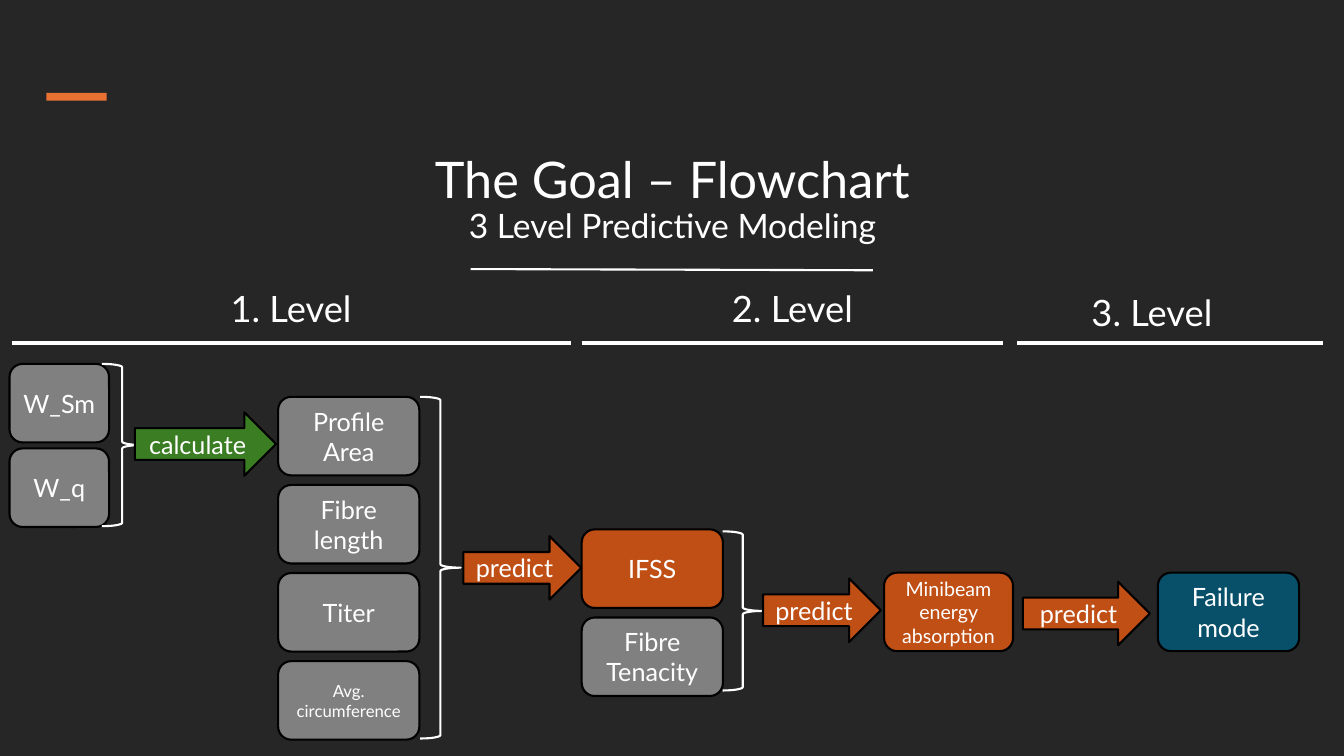
from lxml.etree import SubElement
from pptx import Presentation
from pptx.dml.color import RGBColor
from pptx.enum.shapes import MSO_CONNECTOR as Connector, MSO_SHAPE as Preset
from pptx.enum.text import MSO_ANCHOR as Anchor, MSO_AUTO_SIZE as AutoSize, PP_ALIGN as Align
from pptx.oxml.ns import qn
from pptx.util import Cm, Pt

THEME = {
    "font": "Lato",
    "colors": {"background": "262626", "text": "FFFFFF", "outline": "000000",
               "accent": "E97132", "input": "808080", "predict": "C04F15",
               "calculate": "3B7D23", "result": "084F6A"},
    "sizes": {"title": 36, "subtitle": 24, "level": 25.9,
              "node": 18, "medium": 14, "small": 12},
    "lines": {"thin": 1.5, "thick": 3},
}

TITLE = [("The Goal – Flowchart", "title"), ("3 Level Predictive Modeling", "subtitle")]
TITLE_AREA = (6.76, 3.2, 20.37, 3.12)
TITLE_RULE = (11.86, 6.78, 22.17 - 0.17, 6.81)
TITLE_RULE = (11.86, 6.78, 22, 6.81)
ACCENT_BAR = (1.17, 2.34, 1.52, 0.2)

LEVELS = [
    {"text": "1. Level", "label": (0.3, 7.29, 14.07), "rule": (0.3, 14.38)},
    {"text": "2. Level", "label": (14.66, 7.29, 10.62), "rule": (14.66, 25.27)},
    {"text": "3. Level", "label": (23.72, 7.39, 10.62), "rule": (25.63, 33.35)},
]
LABEL_HEIGHT, LEVEL_RULE_TOP = 1.19, 8.64

STACKS = [
    {"left": 0.24, "top": 9.17, "width": 2.51, "pitch": 2.13,
     "nodes": [("W_Sm", "input", "node"), ("W_q", "input", "node")]},
    {"left": 7.01, "top": 10, "width": 3.56, "pitch": 2.22,
     "nodes": [("Profile Area", "input", "node"), ("Fibre length", "input", "node"),
               ("Titer", "input", "node"), ("Avg. circumference", "input", "small")]},
    {"left": 14.66, "top": 13.34, "width": 3.56, "pitch": 2.22,
     "nodes": [("IFSS", "predict", "node"), ("Fibre Tenacity", "input", "node")]},
    {"left": 22.28, "top": 14.43, "width": 3.25, "pitch": 0,
     "nodes": [("Minibeam energy absorption", "predict", "medium")]},
    {"left": 29.18, "top": 14.43, "width": 3.56, "pitch": 0,
     "nodes": [("Failure mode", "result", "node")]},
]
NODE_HEIGHT = 1.98

BRACES = [(2.57, 9.17, 4.09), (10.59, 10, 8.61), (18.21, 13.39, 4.01)]
BRACE_WIDTH = 1.02

ARROWS = [
    ("calculate", 3.4, 10.39, 3.56),
    ("predict", 11.68, 13.51, 2.97),
    ("predict", 19.23, 14.58, 2.97),
    ("predict", 25.78, 14.66, 3.2),
]
ARROW_HEIGHT = 1.6

PLACEHOLDER_FRAME = {"word_wrap": True, "auto_size": AutoSize.NONE}
NODE_FRAME = {"word_wrap": True, "vertical_anchor": Anchor.MIDDLE}
ARROW_FRAME = NODE_FRAME | dict.fromkeys(
    ("margin_left", "margin_right", "margin_top", "margin_bottom"), 0)
CENTERED = {"alignment": Align.CENTER, "space_before": Pt(0)}


def apply(target, formats):
    for name, value in formats.items():
        setattr(target, name, value)


def color(name):
    return RGBColor.from_string(THEME["colors"][name])


def place(shape, area):
    apply(shape, dict(zip(("left", "top", "width", "height"), map(Cm, area))))


def add_text(paragraph, text, size):
    run = paragraph.add_run()
    run.text = text
    apply(run.font, {"name": THEME["font"], "size": Pt(THEME["sizes"][size]), "bold": False})
    run.font.color.rgb = color("text")


def add_preset(slide, preset, area, fill=None, outline=None):
    shape = slide.shapes.add_shape(preset, *map(Cm, area))
    shape.shadow.inherit = False
    if fill:
        shape.fill.solid()
        shape.fill.fore_color.rgb = color(fill)
    else:
        shape.fill.background()
    if outline:
        shape.line.color.rgb = color(outline)
        shape.line.width = Pt(THEME["lines"]["thin"])
    else:
        shape.line.fill.background()
    return shape


def add_node(slide, preset, area, fill, text, size, frame):
    shape = add_preset(slide, preset, area, fill, "outline")
    apply(shape.text_frame, frame)
    paragraph = shape.text_frame.paragraphs[0]
    apply(paragraph, CENTERED)
    add_text(paragraph, text, size)


def add_rule(slide, ends, weight):
    rule = slide.shapes.add_connector(Connector.STRAIGHT, *map(Cm, ends))
    rule.line.color.rgb = color("text")
    rule.line.width = Pt(THEME["lines"][weight])
    SubElement(rule._element.spPr, qn("a:effectLst"))


def add_title(slide):
    title = slide.shapes.title
    place(title, TITLE_AREA)
    apply(title.text_frame, PLACEHOLDER_FRAME | {"vertical_anchor": Anchor.BOTTOM})
    paragraph = title.text_frame.paragraphs[0]
    apply(paragraph, CENTERED | {"line_spacing": 0.9})
    (heading, heading_size), (subtitle, subtitle_size) = TITLE
    add_text(paragraph, heading, heading_size)
    line_break = paragraph._p.add_br()
    SubElement(line_break, qn("a:rPr"), sz=str(THEME["sizes"][heading_size] * 100))
    add_text(paragraph, subtitle, subtitle_size)
    add_rule(slide, TITLE_RULE, "thin")
    add_preset(slide, Preset.RECTANGLE, ACCENT_BAR, "accent")


def add_levels(slide):
    for index, level in enumerate(LEVELS):
        area = (*level["label"], LABEL_HEIGHT)
        label = slide.shapes.add_textbox(*map(Cm, area)) if index else slide.placeholders[1]
        place(label, area)
        apply(label.text_frame, PLACEHOLDER_FRAME | {"vertical_anchor": Anchor.TOP})
        paragraph = label.text_frame.paragraphs[0]
        apply(paragraph, CENTERED | {"line_spacing": 0.8})
        properties = paragraph._p.get_or_add_pPr()
        apply_indent = {"marL": "0", "indent": "0"}
        for name, value in apply_indent.items():
            properties.set(name, value)
        SubElement(properties, qn("a:buNone"))
        add_text(paragraph, level["text"], "level")
        left, right = level["rule"]
        add_rule(slide, (left, LEVEL_RULE_TOP, right, LEVEL_RULE_TOP), "thick")


def add_flowchart(slide):
    for stack in STACKS:
        for row, (text, fill, size) in enumerate(stack["nodes"]):
            top = stack["top"] + row * stack["pitch"]
            area = (stack["left"], top, stack["width"], NODE_HEIGHT)
            add_node(slide, Preset.ROUNDED_RECTANGLE, area, fill, text, size, NODE_FRAME)
    for left, top, height in BRACES:
        add_preset(slide, Preset.RIGHT_BRACE, (left, top, BRACE_WIDTH, height), outline="text")
    for action, left, top, width in ARROWS:
        area = (left, top, width, ARROW_HEIGHT)
        add_node(slide, Preset.RIGHT_ARROW, area, action, action, "node", ARROW_FRAME)


def main():
    presentation = Presentation()
    apply(presentation, {"slide_width": Cm(33.87), "slide_height": Cm(19.05)})
    slide = presentation.slides.add_slide(presentation.slide_layouts[1])
    slide.background.fill.solid()
    slide.background.fill.fore_color.rgb = color("background")
    add_title(slide)
    add_levels(slide)
    add_flowchart(slide)
    presentation.save("out.pptx")


if __name__ == "__main__":
    main()
